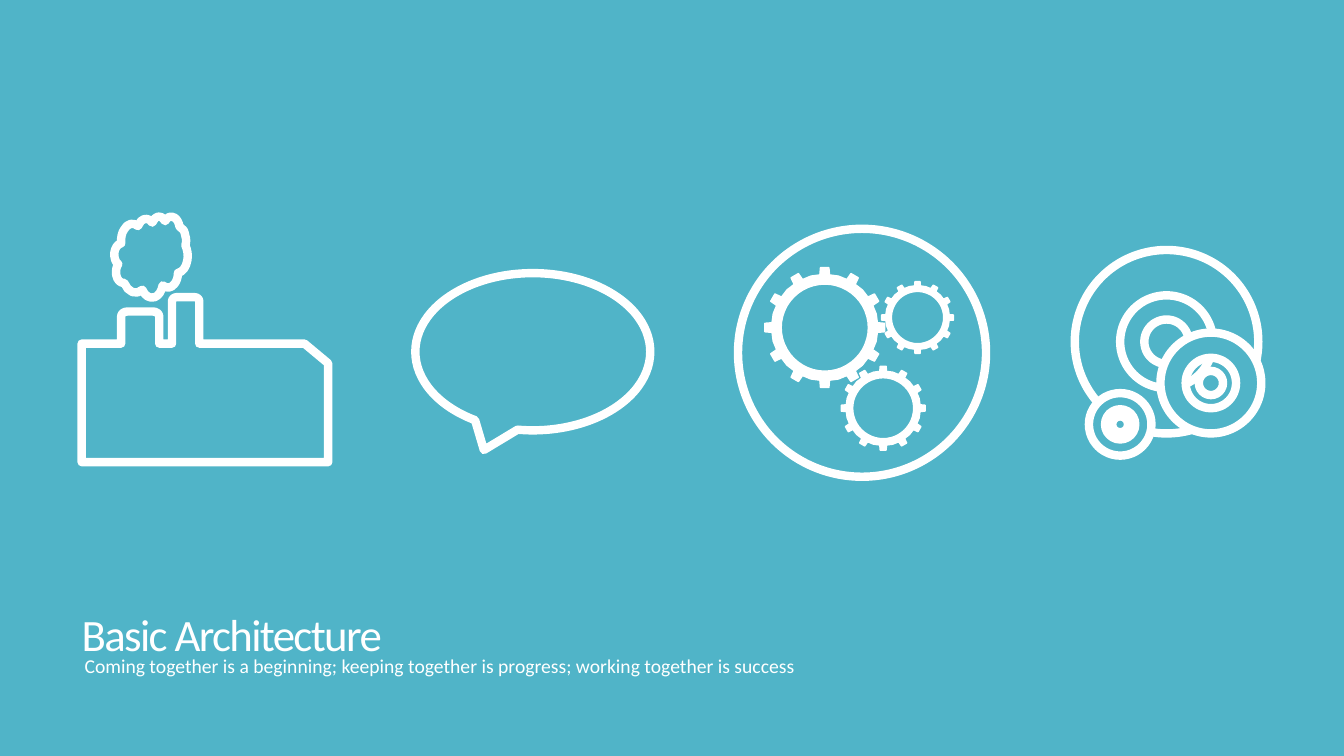
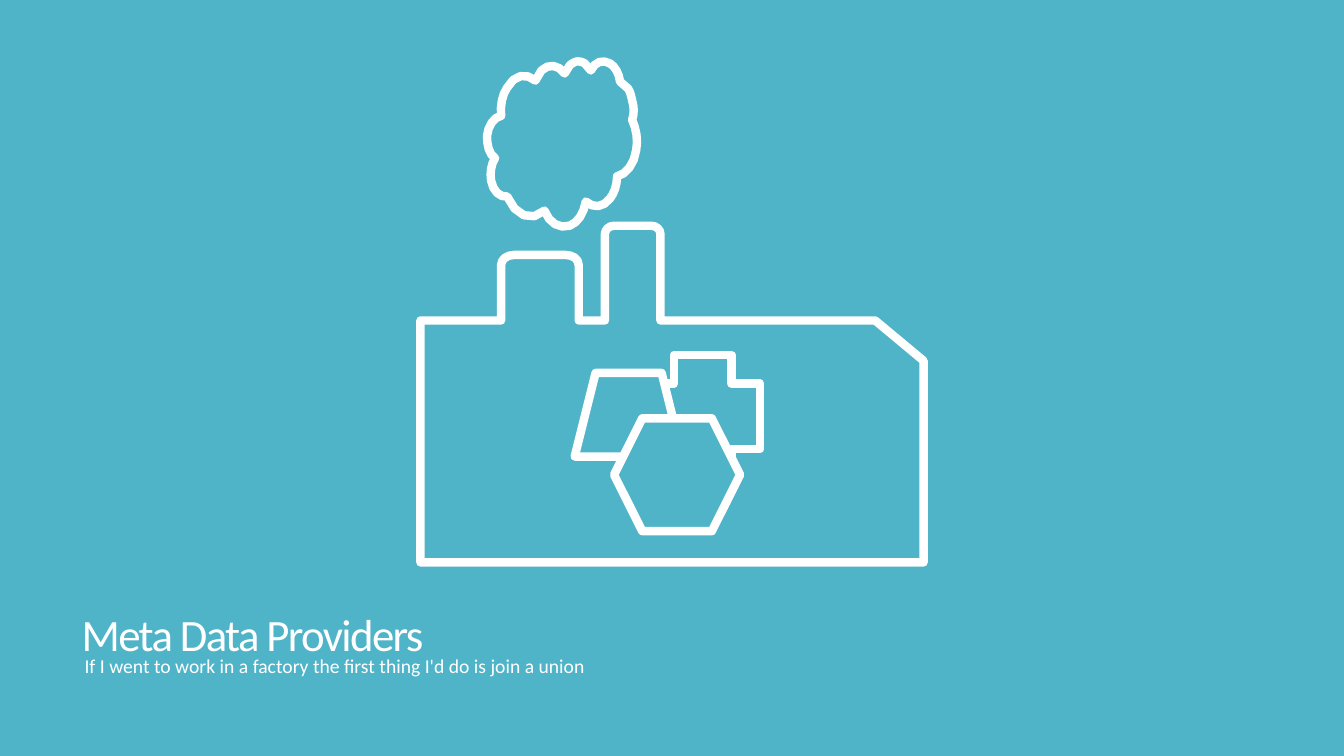
"""Build two line-art slides: basic architecture and meta data providers."""
from math import cos, pi, sin

from lxml.etree import SubElement
from pptx import Presentation
from pptx.dml.color import RGBColor
from pptx.enum.shapes import MSO_SHAPE
from pptx.enum.text import MSO_ANCHOR, MSO_AUTO_SIZE, PP_ALIGN
from pptx.oxml.ns import qn
from pptx.util import Inches, Pt

COLORS = {"back": "50B4C8", "ink": "FFFFFF"}
FONT = "Calibri"
BOLD, THIN = 6, 1

TEXTS = [
    ("Basic Architecture",
     "Coming together is a beginning; keeping together is progress; working together is success"),
    ("Meta Data Providers",
     "If I went to work in a factory the first thing I'd do is join a union"),
]
TITLE_BOX = (0.71, 5.93, 11.79, 0.67)
SUB_BOX = (0.74, 6.46, 10.09, 0.58)

WHEEL = (MSO_SHAPE.OVAL, 7.32, 2.27, 2.46, 2.46)
BUBBLE = (MSO_SHAPE.OVAL_CALLOUT, 4.12, 2.71, 2.33, 1.56)
PARTS = [
    (MSO_SHAPE.CROSS, 6.4, 3.52, 1.14, 1.22),
    (MSO_SHAPE.TRAPEZOID, 5.7, 3.7, 1.07, 0.83),
    (MSO_SHAPE.HEXAGON, 6.09, 4.15, 1.25, 1.12),
]
GEARS = [(8.18, 3.25, 0.6), (9.1, 3.15, 0.36), (8.76, 4.05, 0.42)]
TEETH = 12
TOOTH = [(0.87, -0.08), (0.99, -0.07), (0.99, 0.07), (0.87, 0.08), (0.85, 0.23)]
HOLE = 0.72
DISCS = [
    (11.57, 3.39, 0.22, 0.46, 0.91),
    (12.01, 3.8, 0.12, 0.25, 0.5),
    (11.11, 4.21, 0.08, 0.15, 0.31),
]

PLANT_AT = (4.17, 0.61)
SMALL_AT, SMALL = (0.81, 2.15), 0.49
HALL = [
    (6.09, 2.24), (6.46, 2.24), (6.51, 2.24, 6.55, 2.28, 6.55, 2.32),
    (6.55, 3.18), (8.68, 3.18), (9.16, 3.58), (9.16, 5.58), (4.17, 5.58),
    (4.17, 3.18), (4.97, 3.18), (4.97, 2.63), (4.97, 2.57, 5.03, 2.53, 5.1, 2.53),
    (5.61, 2.53), (5.68, 2.53, 5.74, 2.57, 5.74, 2.63), (5.74, 3.18), (6, 3.18),
    (6, 2.32), (6, 2.28, 6.04, 2.24, 6.09, 2.24),
]
SMOKE = [
    (5.72, 0.61), (5.74, 0.61, 5.77, 0.61, 5.8, 0.63), (5.86, 0.7),
    (5.9, 0.61, 5.98, 0.59, 6.05, 0.63), (6.1, 0.66, 6.14, 0.73, 6.15, 0.81),
    (6.23, 0.88), (6.25, 0.91, 6.26, 0.95, 6.27, 1),
    (6.29, 1.06, 6.29, 1.13, 6.27, 1.19), (6.31, 1.28, 6.33, 1.39, 6.31, 1.49),
    (6.29, 1.63, 6.21, 1.73, 6.12, 1.75), (6.12, 1.84, 6.09, 1.92, 6.05, 1.97),
    (5.98, 2.06, 5.89, 2.07, 5.81, 2), (5.79, 2.12, 5.73, 2.21, 5.65, 2.24),
    (5.55, 2.27, 5.45, 2.22, 5.4, 2.09), (5.27, 2.21, 5.11, 2.14, 5.03, 1.95),
    (4.96, 1.96, 4.89, 1.9, 4.87, 1.79), (4.86, 1.71, 4.87, 1.63, 4.91, 1.57),
    (4.85, 1.53, 4.83, 1.44, 4.83, 1.35), (4.84, 1.25, 4.9, 1.16, 4.97, 1.15),
    (4.96, 1.05, 4.98, 0.94, 5.03, 0.87), (5.1, 0.74, 5.22, 0.72, 5.31, 0.8),
    (5.37, 0.7), (5.44, 0.63, 5.54, 0.64, 5.6, 0.73),
    (5.65, 0.65), (5.67, 0.63, 5.69, 0.62, 5.72, 0.61),
]


def color(name):
    return RGBColor.from_string(COLORS[name])


def paint(shape, fill, width):
    shape.shadow.inherit = False
    shape.fill.solid()
    shape.fill.fore_color.rgb = color(fill)
    shape.line.color.rgb = color("ink")
    shape.line.width = Pt(width)
    SubElement(shape.line._get_or_add_ln(), qn("a:round"))


def add_part(slide, kind, *box, width=BOLD):
    shape = slide.shapes.add_shape(kind, *map(Inches, box))
    paint(shape, "back", width)
    return shape


def add_round(slide, kind, x, y, r, width=BOLD):
    return add_part(slide, kind, x - r, y - r, 2 * r, 2 * r, width=width)


def add_free(slide, loops, fill="back", width=BOLD):
    loops = [[(Inches(x), Inches(y)) for x, y in loop] for loop in loops]
    pen = slide.shapes.build_freeform(*loops[0][0])
    for i, loop in enumerate(loops):
        if i:
            pen.move_to(*loop[0])
        pen.add_line_segments(loop[1:], close=True)
    paint(pen.convert_to_shape(), fill, width)


def add_gear(slide, x, y, r):
    rim = []
    for i in range(TEETH):
        a = 2 * pi * i / TEETH
        rim += [(x + r * (u * cos(a) - v * sin(a)), y + r * (u * sin(a) + v * cos(a)))
                for u, v in TOOTH]
    add_free(slide, [rim], "ink", THIN)
    add_round(slide, MSO_SHAPE.OVAL, x, y, r * HOLE, THIN)


def add_disc(slide, x, y, core, gap, rim):
    donut = add_round(slide, MSO_SHAPE.DONUT, x, y, rim)
    donut.adjustments[0] = (rim - gap) / (2 * rim)
    add_round(slide, MSO_SHAPE.OVAL, x, y, core)


def flatten(steps, count=4):
    points = []
    for step in steps:
        if len(step) == 2:
            points.append(step)
            continue
        knots = [points[-1], step[:2], step[2:4], step[4:]]
        for i in range(1, count + 1):
            t = i / count
            mix = ((1 - t) ** 3, 3 * t * (1 - t) ** 2, 3 * t * t * (1 - t), t ** 3)
            points.append(tuple(sum(m * k[axis] for m, k in zip(mix, knots))
                                for axis in (0, 1)))
    return points


def add_plant(slide, at=PLANT_AT, scale=1):
    add_free(slide, [[tuple(a + (p - o) * scale for a, p, o in zip(at, point, PLANT_AT))
                      for point in flatten(steps)] for steps in (HALL, SMOKE)])


def write(shape, box, text, size, space, anchor):
    shape.left, shape.top, shape.width, shape.height = map(Inches, box)
    frame = shape.text_frame
    frame.word_wrap = True
    frame.auto_size = MSO_AUTO_SIZE.NONE
    frame.vertical_anchor = anchor
    para = frame.paragraphs[0]
    para.alignment = PP_ALIGN.LEFT
    para.line_spacing = space
    run = para.add_run()
    run.text = text
    run.font.name = FONT
    run.font.size = Pt(size)
    run.font.color.rgb = color("ink")
    return run


def add_slide(deck, title, sub):
    slide = deck.slides.add_slide(deck.slide_layouts[5])
    run = write(slide.shapes.title, TITLE_BOX, title, 32, 0.85, MSO_ANCHOR.BOTTOM)
    run.font._element.set("spc", "-120")
    box = slide.shapes.add_textbox(*map(Inches, SUB_BOX))
    write(box, SUB_BOX, sub, 14, 0.9, MSO_ANCHOR.TOP)
    return slide


def main():
    deck = Presentation()
    deck.slide_width, deck.slide_height = Inches(13.33), Inches(7.5)
    back = deck.slide_master.background.fill
    back.solid()
    back.fore_color.rgb = color("back")
    basic, meta = [add_slide(deck, *text) for text in TEXTS]

    add_part(basic, *WHEEL)
    for gear in GEARS:
        add_gear(basic, *gear)
    add_part(basic, *BUBBLE)
    for disc in DISCS:
        add_disc(basic, *disc)
    add_plant(basic, SMALL_AT, SMALL)

    add_plant(meta)
    for part in PARTS:
        add_part(meta, *part)
    deck.save("out.pptx")


if __name__ == "__main__":
    main()
